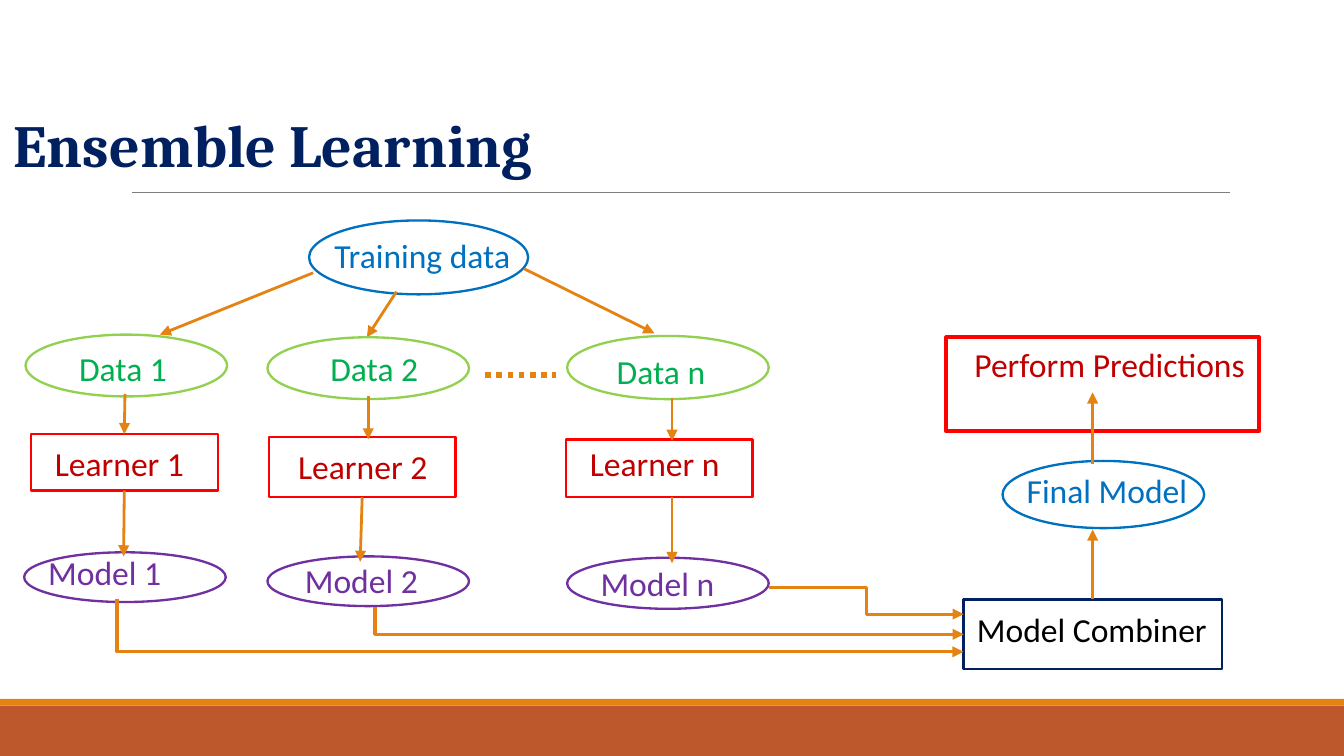
from dataclasses import dataclass

import pptx
import pptx.dml.color
import pptx.enum.dml
import pptx.enum.shapes
import pptx.enum.text
import pptx.oxml
import pptx.oxml.ns
import pptx.util

PX = 9144
SHAPE = pptx.enum.shapes.MSO_SHAPE
LINE = pptx.enum.shapes.MSO_CONNECTOR
ANCHOR = pptx.enum.text.MSO_ANCHOR


@dataclass(frozen=True)
class Theme:
    navy: str = "002060"
    blue: str = "0070C0"
    lime: str = "92D050"
    green: str = "00B050"
    red: str = "FF0000"
    dark_red: str = "C00000"
    purple: str = "7030A0"
    black: str = "000000"
    gray: str = "7F7F7F"
    orange: str = "E48312"
    rust: str = "BD582C"
    title_font: str = "Cambria"
    body_font: str = "Calibri"
    title_size: int = 32
    body_size: int = 18


T = Theme()


def rgb(color):
    return pptx.dml.color.RGBColor.from_string(color)


def px(*values):
    return [round(v * PX) for v in values]


def write(tf, text, font=T.body_font, size=T.body_size, color=T.black,
          bold=False, anchor=ANCHOR.TOP, left=10, spacing=None):
    tf.word_wrap = True
    tf.vertical_anchor = anchor
    tf.margin_left, tf.margin_right, tf.margin_top, tf.margin_bottom = px(left, 10, 5, 5)
    p = tf.paragraphs[0]
    p.alignment = pptx.enum.text.PP_ALIGN.LEFT
    p.line_spacing = spacing
    r = p.add_run()
    r.text = text
    r.font.name = font
    r.font.size = pptx.util.Pt(size)
    r.font.bold = bold
    r.font.color.rgb = rgb(color)


def label(s, x, y, w, text, color):
    sp = s.shapes.add_textbox(*px(x, y, w, 40))
    write(sp.text_frame, text, color=color)


def shape(s, kind, box, line=None, width=1.25, fill=None):
    sp = s.shapes.add_shape(kind, *px(*box))
    sp.shadow.inherit = False
    if fill:
        sp.fill.solid()
        sp.fill.fore_color.rgb = rgb(fill)
    else:
        sp.fill.background()
    if line:
        sp.line.color.rgb = rgb(line)
        sp.line.width = pptx.util.Pt(width)
    else:
        sp.line.fill.background()
    return sp


def connector(s, x1, y1, x2, y2, width=1.5, color=T.orange, head=True,
              kind=LINE.STRAIGHT):
    c = s.shapes.add_connector(kind, *px(x1, y1, x2, y2))
    c.line.color.rgb = rgb(color)
    c.line.width = pptx.util.Pt(width)
    if head:
        end = pptx.oxml.parse_xml(
            f'<a:tailEnd {pptx.oxml.ns.nsdecls("a")} type="triangle"/>')
        c.line._get_or_add_ln().append(end)
    c._element.spPr.append(
        pptx.oxml.parse_xml(f'<a:effectLst {pptx.oxml.ns.nsdecls("a")}/>'))
    return c


def down_then_right(s, x1, y1, x2, y2):
    cx, cy = (x1 + x2) / 2, (y1 + y2) / 2
    w, h = y2 - y1, x2 - x1
    c = connector(s, cx - w / 2, cy - h / 2, cx + w / 2, cy + h / 2,
                  width=1.75, kind=LINE.ELBOW)
    spPr = c._element.spPr
    xfrm = spPr.find(pptx.oxml.ns.qn("a:xfrm"))
    xfrm.set("rot", "16200000")
    xfrm.set("flipH", "1")
    spPr.find(pptx.oxml.ns.qn("a:prstGeom")).set("prst", "bentConnector2")


def frame(s, w, h):
    shape(s, SHAPE.RECTANGLE, (0, 525, w, h - 525), fill=T.rust)
    shape(s, SHAPE.RECTANGLE, (0, 520, w, 5), fill=T.orange)
    connector(s, 98, 143, 915, 143, width=0.5, color=T.gray, head=False)


def heading(s, x, y, w, h):
    sp = s.shapes.title
    sp.left, sp.top, sp.width, sp.height = px(x, y, w, h)
    write(sp.text_frame, "Ensemble Learning", font=T.title_font, size=T.title_size,
          color=T.navy, bold=True, anchor=ANCHOR.MIDDLE, spacing=0.85)


def training(s, x, y):
    shape(s, SHAPE.OVAL, (x, y, 163, 55), T.blue)
    label(s, x + 9, y + 6, 178, "Training data", T.blue)
    for x1, y1, x2, y2 in [(3, 39, -111, 85), (65, 53, 43, 87), (160, 36, 257, 84)]:
        connector(s, x + x1, y + y1, x + x2, y + y2)


def branch(s, x, y, name, data, learner, model, captions, arrows):
    parts = [
        ("Data", SHAPE.OVAL, data, T.lime, T.green, 106),
        ("Learner", SHAPE.RECTANGLE, learner, T.red, T.dark_red, 123),
        ("Model", SHAPE.OVAL, model, T.purple, T.purple, 123),
    ]
    shapes = []
    for (word, kind, (dx, dy, w, h), line, color, width), (tx, ty) in zip(parts, captions):
        shapes.append(shape(s, kind, (x + dx, y + dy, w, h), line))
        label(s, x + tx, y + ty, width, f"{word} {name}", color)
    middle = learner[0] + learner[2] / 2
    (x1, y1, x2, y2), (x3, y3, x4, y4) = arrows
    c = connector(s, x + x1, y + y1, x + x2, y + y2)
    if abs(x2 - middle) < 1:
        c.end_connect(shapes[1], 0)
    c = connector(s, x + x3, y + y3, x + x4, y + y4)
    if abs(x3 - middle) < 1:
        c.begin_connect(shapes[1], 2)


def branches(s):
    branch(s, 18, 249, "1", (1, 0, 150, 46), (5, 74, 139, 42), (0, 162, 150, 37),
           [(31, 5), (13, 76), (8, 157)], [(75, 44, 74, 76), (74, 116, 74, 165)])
    branch(s, 199, 251, "2", (0, 0, 150, 46), (1, 74, 139, 45), (0, 163, 150, 37),
           [(37, 3), (13, 76), (18, 161)], [(75, 44, 75, 76), (70, 118, 69, 167)])
    branch(s, 421, 250, "n", (1, 0, 150, 47), (0, 77, 139, 43), (1, 165, 150, 38),
           [(28, 6), (8, 75), (16, 164)], [(79, 46, 79, 78), (79, 120, 79, 169)])
    dots = connector(s, 361, 279, 414, 279, width=3, head=False)
    dots.line.dash_style = pptx.enum.dml.MSO_LINE.ROUND_DOT


def prediction(s, x, y):
    combiner = shape(s, SHAPE.RECTANGLE, (x + 13, y + 195, 192, 52), T.navy)
    label(s, x + 13, y + 197, 208, "Model Combiner", T.black)
    shape(s, SHAPE.OVAL, (x + 42, y + 92, 150, 50), T.blue)
    label(s, x + 50, y + 94, 152, "Final Model", T.blue)
    result = shape(s, SHAPE.RECTANGLE, (x, y, 233, 70), T.red, width=2)
    write(result.text_frame, "Perform Predictions", color=T.dark_red, left=21)
    c = connector(s, x + 109, y + 195, x + 109, y + 143, width=1.75)
    c.begin_connect(combiner, 0)
    connector(s, x + 109, y + 94, x + 109, y + 41, width=1.75)


def combine(s, x):
    down_then_right(s, 87, 446, x, 485)
    down_then_right(s, 279, 452, x, 472)
    connector(s, 572, 437, x, 457, width=1.75, kind=LINE.ELBOW)


def main():
    prs = pptx.Presentation()
    prs.slide_width = 1000 * PX
    prs.slide_height = prs.slide_width * 9 // 16
    s = prs.slides.add_slide(prs.slide_layouts[5])
    frame(s, 1000, prs.slide_height / PX)
    heading(s, 0, 81, 1000, 60)
    training(s, 230, 164)
    branches(s)
    prediction(s, 704, 251)
    combine(s, 717)
    prs.save("out.pptx")


if __name__ == "__main__":
    main()
